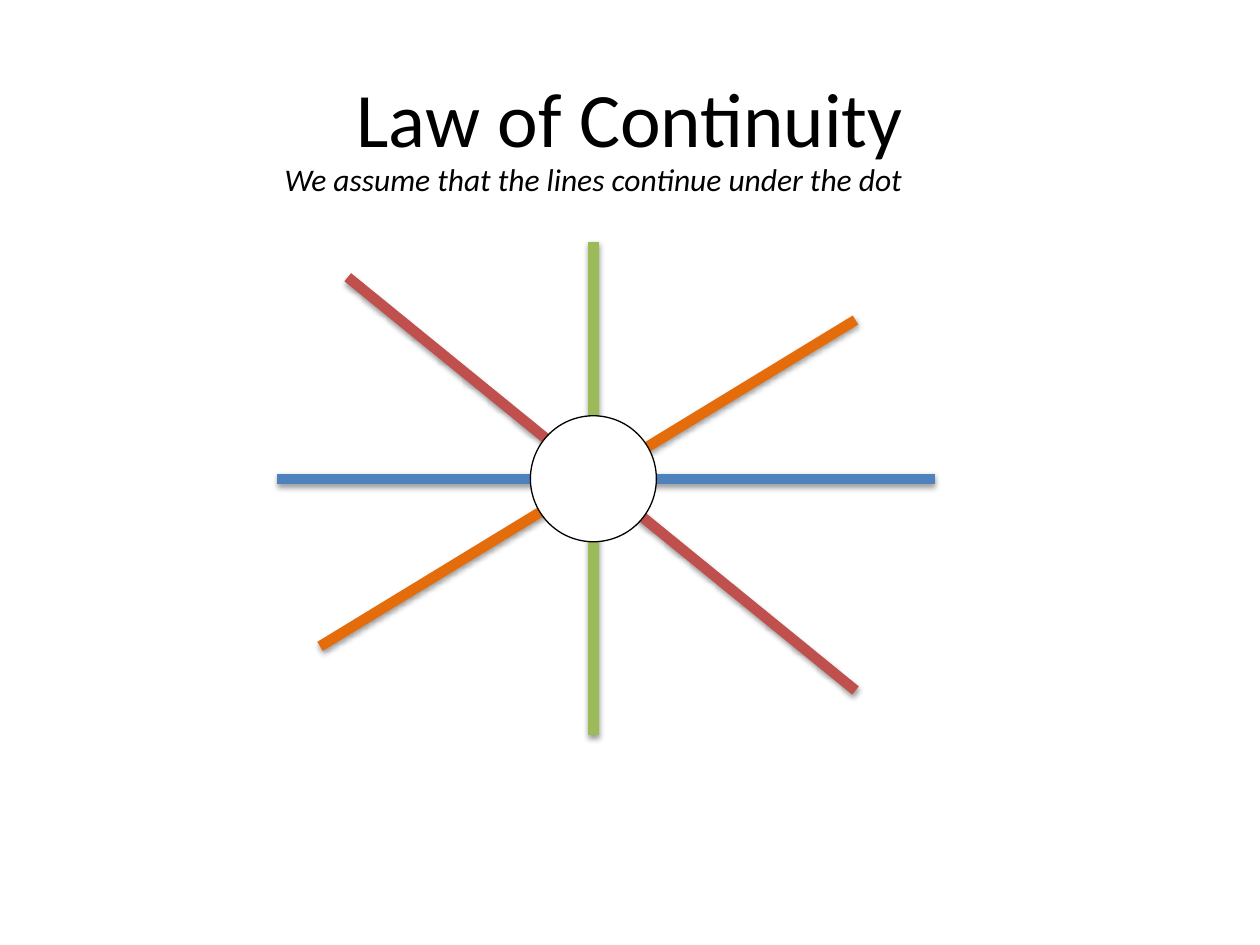
from pptx import Presentation
from pptx.dml.color import RGBColor
from pptx.enum.shapes import MSO_CONNECTOR, MSO_SHAPE
from pptx.enum.text import MSO_ANCHOR, MSO_AUTO_SIZE, PP_ALIGN
from pptx.util import Inches, Pt

BLACK = RGBColor(0x00, 0x00, 0x00)
WHITE = RGBColor(0xFF, 0xFF, 0xFF)
BLUE = RGBColor(0x4F, 0x81, 0xBD)
GREEN = RGBColor(0x9B, 0xBB, 0x59)
ORANGE = RGBColor(0xE4, 0x6C, 0x0A)
RED = RGBColor(0xC0, 0x50, 0x4D)

HEADING = "Law of Continuity"
CAPTION = "We assume that the lines continue under the dot"
RAYS = [
    ((2.2, 3.8), (7.42, 3.8), BLUE),
    ((4.71, 1.92), (4.71, 5.83), GREEN),
    ((2.54, 5.13), (6.79, 2.54), ORANGE),
    ((6.79, 5.48), (2.76, 2.2), RED),
]
DOT_CENTER = (4.71, 3.8)
DOT_SIZE = 1


def place(part, left, top, width, height):
    part.left, part.top = Inches(left), Inches(top)
    part.width, part.height = Inches(width), Inches(height)


def write(paragraph, text, size, italic=None):
    run = paragraph.add_run()
    run.text = text
    run.font.name = "Calibri"
    run.font.size = Pt(size)
    run.font.italic = italic
    run.font.color.rgb = BLACK


def main():
    deck = Presentation()
    deck.slide_width, deck.slide_height = Inches(10), Inches(7.5)
    slide = deck.slides.add_slide(deck.slide_layouts[5])

    heading = slide.shapes.title
    place(heading, 0.5, 0.3, 9, 1.25)
    heading.text_frame.vertical_anchor = MSO_ANCHOR.MIDDLE
    heading.text_frame.paragraphs[0].alignment = PP_ALIGN.CENTER
    write(heading.text_frame.paragraphs[0], HEADING, 44)

    for start, end, color in RAYS:
        ray = slide.shapes.add_connector(
            MSO_CONNECTOR.STRAIGHT, *map(Inches, start + end))
        ray.line.color.rgb = color
        ray.line.width = Pt(6)

    left, top = (middle - DOT_SIZE / 2 for middle in DOT_CENTER)
    dot = slide.shapes.add_shape(
        MSO_SHAPE.OVAL, *map(Inches, (left, top, DOT_SIZE, DOT_SIZE)))
    dot.shadow.inherit = False
    dot.fill.solid()
    dot.fill.fore_color.rgb = WHITE
    dot.line.color.rgb = BLACK
    dot.line.width = Pt(0.75)

    caption = slide.shapes.add_textbox(
        *map(Inches, (2.16, 1.22, 5.68, 0.4))).text_frame
    caption.word_wrap = False
    caption.auto_size = MSO_AUTO_SIZE.SHAPE_TO_FIT_TEXT
    write(caption.paragraphs[0], CAPTION, 18, italic=True)

    deck.save("out.pptx")


if __name__ == "__main__":
    main()
